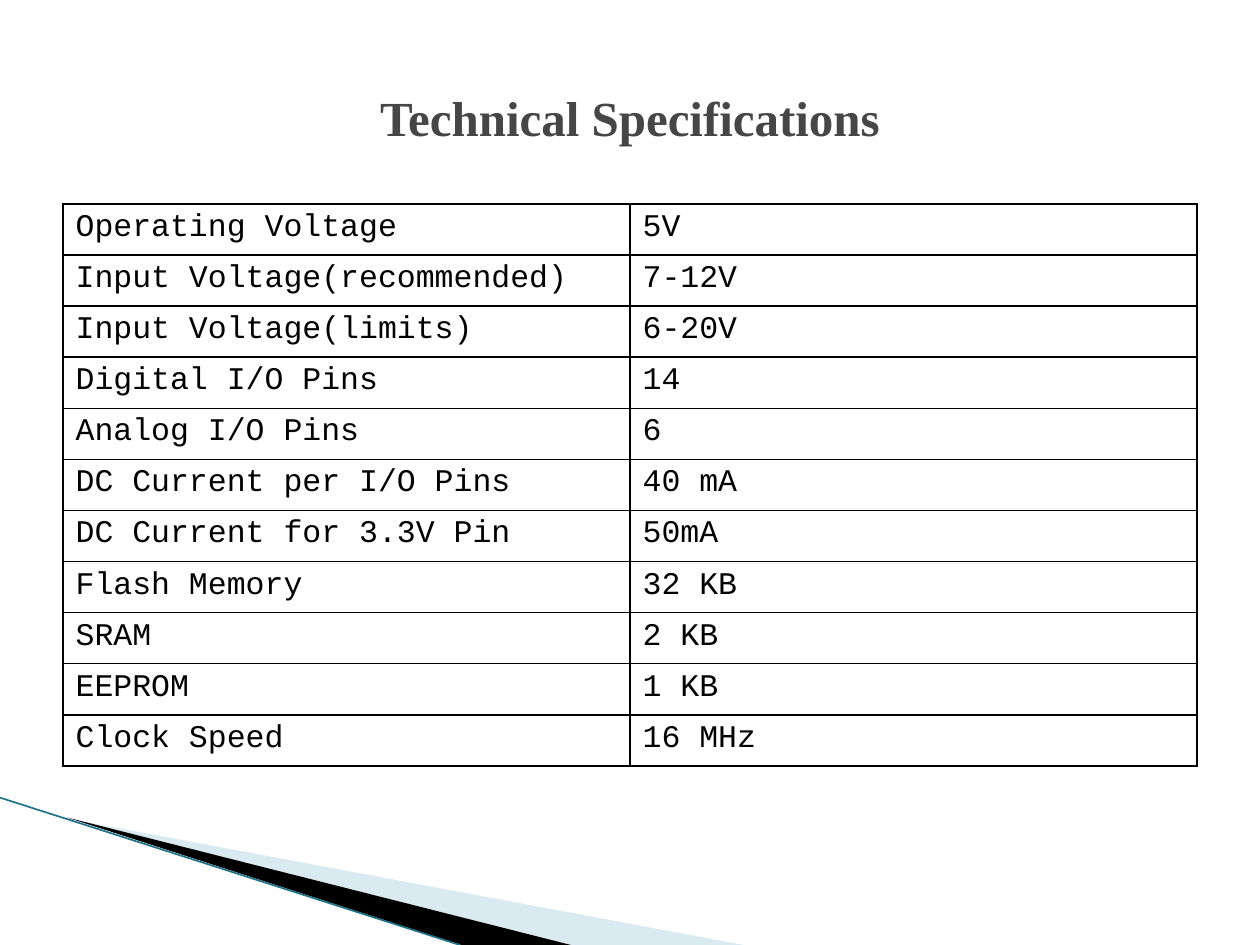
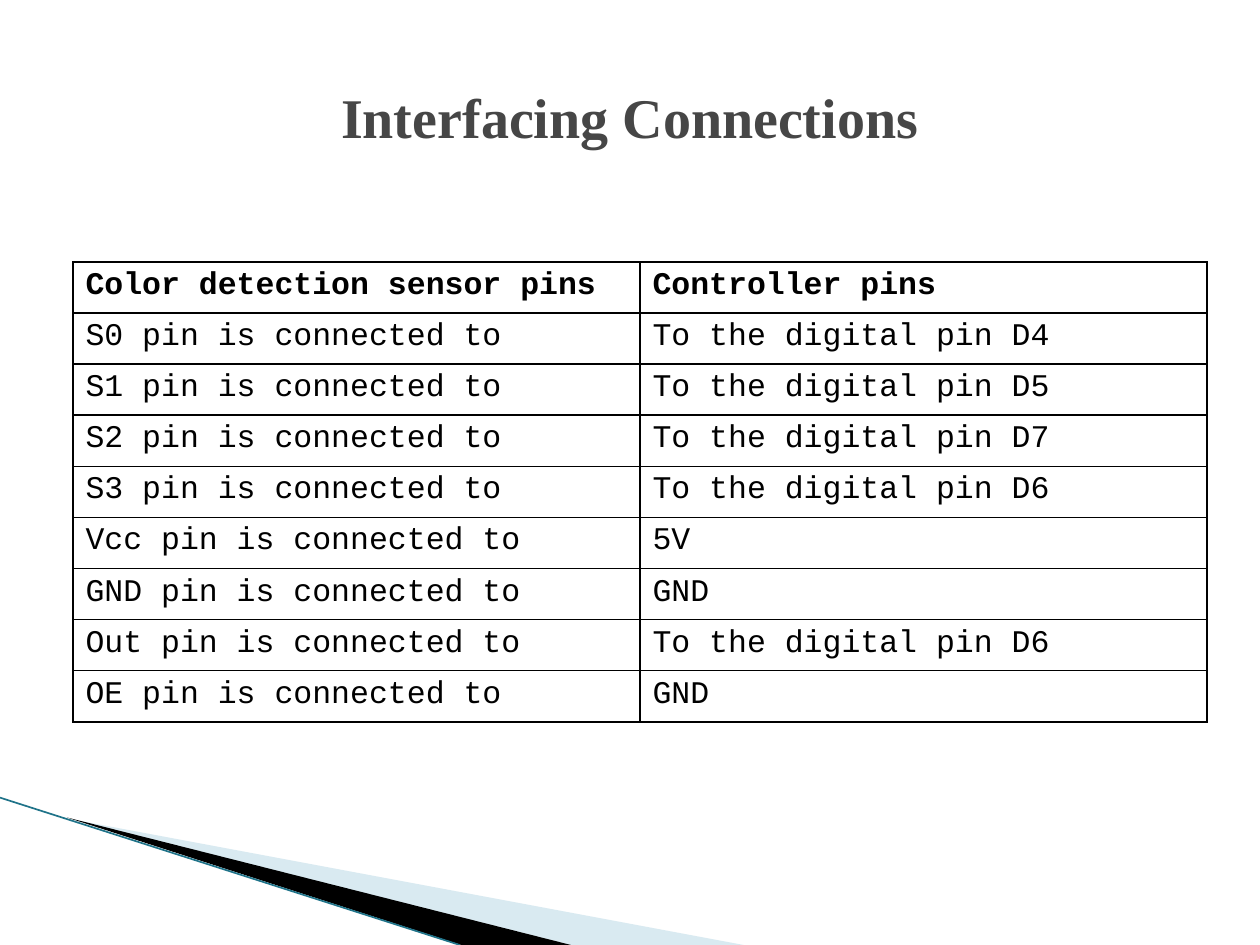
from lxml import etree
from pptx import Presentation
from pptx import util as u
from pptx.dml.color import RGBColor
from pptx.enum import shapes, text
from pptx.oxml import ns

COLORS = {
    "background": "FFFFFF",
    "title": "464646",
    "ink": "000000",
    "pale_band": "A0CBDC",
    "edge": "1F7389",
}
TITLE_FONT = "Times New Roman"
TABLE_FONT = "Courier New"
COLUMN_WIDTH = u.Cm(11.43)
ROW_HEIGHT = u.Cm(1.03)

SPECIFICATIONS = [
    ("Operating Voltage", "5V"),
    ("Input Voltage(recommended)", "7-12V"),
    ("Input Voltage(limits)", "6-20V"),
    ("Digital I/O Pins", "14"),
    ("Analog I/O Pins", "6"),
    ("DC Current per I/O Pins", "40 mA"),
    ("DC Current for 3.3V Pin", "50mA"),
    ("Flash Memory", "32 KB"),
    ("SRAM", "2 KB"),
    ("EEPROM", "1 KB"),
    ("Clock Speed", "16 MHz"),
]
WIRING = [
    ("S0", "To the digital pin D4"),
    ("S1", "To the digital pin D5"),
    ("S2", "To the digital pin D7"),
    ("S3", "To the digital pin D6"),
    ("Vcc", "5V"),
    ("GND", "GND"),
    ("Out", "To the digital pin D6"),
    ("OE", "GND"),
]


def color(name):
    return RGBColor.from_string(COLORS[name])


def add_element(parent, tag, **attributes):
    return etree.SubElement(parent, ns.qn(tag), attributes)


class Deck:
    def __init__(self):
        self.presentation = Presentation()
        self.presentation.slide_width = u.Cm(25.4)
        self.presentation.slide_height = u.Cm(19.05)
        self.slide = None

    def start_slide(self, title, title_size):
        self.slide = self.presentation.slides.add_slide(self.presentation.slide_layouts[6])
        fill = self.slide.background.fill
        fill.solid()
        fill.fore_color.rgb = color("background")
        self.band([(1.4, 16.51), (14.99, 19.05), (11.51, 19.05)], "pale_band", opacity=40)
        self.band([(1.35, 16.48), (11.51, 19.05), (9.3, 19.05)], "ink")
        self.line((0, 16.08), (9.27, 19.05), "edge")
        self.title(title, title_size)

    def band(self, points, fill_name, opacity=100):
        """Draw a filled outline through points given in centimetres."""
        corners = [(u.Cm(x), u.Cm(y)) for x, y in points]
        builder = self.slide.shapes.build_freeform(*corners[0])
        builder.add_line_segments(corners[1:])
        shape = builder.convert_to_shape()
        shape.shadow.inherit = False
        shape.line.fill.background()
        shape.fill.solid()
        shape.fill.fore_color.rgb = color(fill_name)
        if opacity < 100:
            fill_color = shape._element.spPr.find(".//" + ns.qn("a:srgbClr"))
            add_element(fill_color, "a:alpha", val=str(opacity * 1000))

    def line(self, start, end, color_name):
        ends = [u.Cm(value) for value in (*start, *end)]
        connector = self.slide.shapes.add_connector(shapes.MSO_CONNECTOR.STRAIGHT, *ends)
        connector.line.color.rgb = color(color_name)
        connector.line.width = u.Pt(0.95)
        add_element(connector._element.spPr, "a:effectLst")

    def title(self, words, size):
        shape = self.slide.shapes.add_textbox(u.Cm(1.27), u.Cm(0.76), u.Cm(22.86), u.Cm(3.18))
        frame = shape.text_frame
        frame.word_wrap = True
        frame.vertical_anchor = text.MSO_ANCHOR.MIDDLE
        paragraph = frame.paragraphs[0]
        paragraph.text = words
        paragraph.alignment = text.PP_ALIGN.CENTER
        self.style(paragraph, TITLE_FONT, size, "title", bold=True)

    def table(self, left, top, rows, header=False):
        columns = len(rows[0])
        table = self.slide.shapes.add_table(
            len(rows), columns, u.Cm(left), u.Cm(top),
            COLUMN_WIDTH * columns, ROW_HEIGHT * len(rows)).table
        table.first_row = header
        table.horz_banding = False
        for column in table.columns:
            column.width = COLUMN_WIDTH
        for row_index, row in enumerate(rows):
            table.rows[row_index].height = ROW_HEIGHT
            for column_index, words in enumerate(row):
                cell = table.cell(row_index, column_index)
                self.border(cell)
                cell.fill.background()
                paragraph = cell.text_frame.paragraphs[0]
                paragraph.text = words
                self.style(paragraph, TABLE_FONT, 18, "ink", bold=header and row_index == 0)

    def border(self, cell):
        """Outline a cell; call before filling it, since borders come first in the XML."""
        properties = cell._tc.get_or_add_tcPr()
        for side in "LRTB":
            edge = add_element(properties, f"a:ln{side}", w=str(u.Pt(1)))
            fill = add_element(edge, "a:solidFill")
            add_element(fill, "a:srgbClr", val=COLORS["ink"])

    def style(self, paragraph, font_name, size, color_name, bold):
        font = paragraph.font
        font.name = font_name
        font.size = u.Pt(size)
        font.bold = bold
        font.color.rgb = color(color_name)


def main():
    deck = Deck()
    deck.start_slide("Technical Specifications", 28)
    deck.table(1.27, 4.11, SPECIFICATIONS)

    deck.start_slide("Interfacing Connections", 32)
    connections = [(f"{pin} pin is connected to", target) for pin, target in WIRING]
    deck.table(1.47, 5.28, [("Color detection sensor pins", "Controller pins")] + connections,
               header=True)
    deck.presentation.save("out.pptx")


if __name__ == "__main__":
    main()
